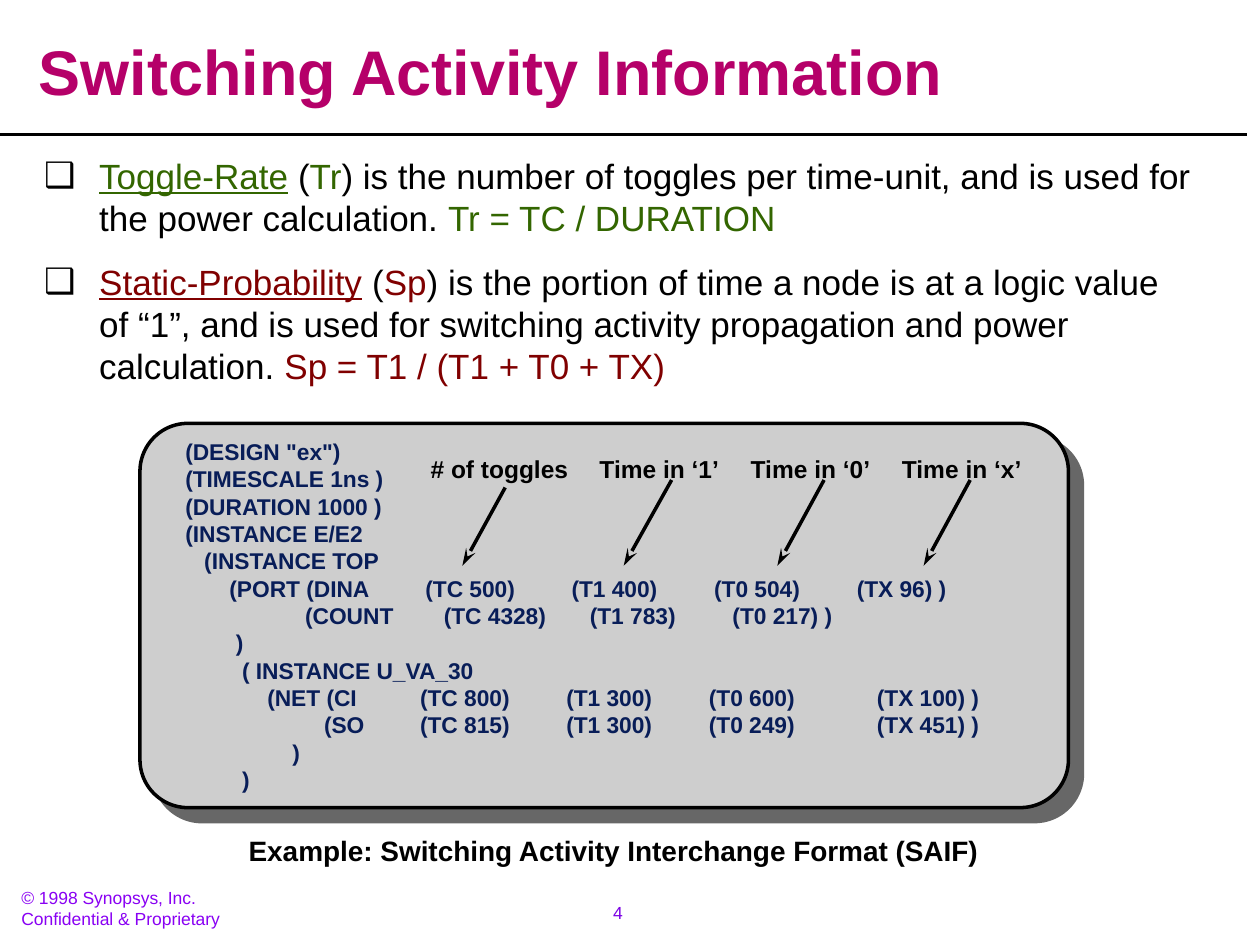
import pptx
import pptx.util
import pptx.dml.color
import pptx.enum.shapes
import pptx.enum.text
import pptx.oxml
import pptx.oxml.ns
from lxml import etree

Pt = pptx.util.Pt
qn = pptx.oxml.ns.qn
NS = 'xmlns:a="http://schemas.openxmlformats.org/drawingml/2006/main"'
ALIGN = pptx.enum.text.PP_ALIGN
ANCHOR = pptx.enum.text.MSO_ANCHOR


def color(hex_string):
    return pptx.dml.color.RGBColor.from_string(hex_string)


def add_run(p, text, hex_string, **font_values):
    r = p.add_run()
    r.text = text
    r.font.name = "Arial"
    r.font.color.rgb = color(hex_string)
    for name, value in font_values.items():
        setattr(r.font, name, value)


prs = pptx.Presentation()
prs.slide_width, prs.slide_height = Pt(720), Pt(540)
s = prs.slides.add_slide(prs.slide_layouts[1])

# Title and body placeholders
title, body = s.placeholders[0], s.placeholders[1]
frames = [
    (title, (15, 11.2, 699, 54.7), ANCHOR.BOTTOM, 3.6),
    (body, (18, 81, 673.2, 146.9), ANCHOR.TOP, 7.2),
]
for sp, (left, top, width, height), anchor, margin in frames:
    sp.left, sp.top, sp.width, sp.height = Pt(left), Pt(top), Pt(width), Pt(height)
    tf = sp.text_frame
    values = {
        "auto_size": pptx.enum.text.MSO_AUTO_SIZE.NONE,
        "word_wrap": True,
        "vertical_anchor": anchor,
        "margin_left": Pt(7.2),
        "margin_right": Pt(7.2),
        "margin_top": Pt(margin),
        "margin_bottom": Pt(margin),
    }
    for name, value in values.items():
        setattr(tf, name, value)

p = title.text_frame.paragraphs[0]
p.alignment = ALIGN.LEFT
p.line_spacing = 0.9
add_run(p, "Switching Activity Information", "B50069", size=Pt(36), bold=True)

# Definitions: term, symbol, explanation, formula
definitions = [
    ("336600", "Toggle-Rate", "Tr",
     ") is the number of toggles per time-unit, and is used for the power calculation. ",
     "Tr = TC / DURATION"),
    ("800000", "Static-Probability", "Sp",
     ") is the portion of time a node is at a logic value of “1”, and is used for "
     "switching activity propagation and power calculation. ",
     "Sp = T1 / (T1 + T0 + TX)"),
]
tf = body.text_frame
for i, (accent, term, symbol, explanation, formula) in enumerate(definitions):
    p = tf.add_paragraph() if i else tf.paragraphs[0]
    pPr = p._p.get_or_add_pPr()
    pPr.set("marL", str(Pt(31.5)))
    pPr.set("indent", str(Pt(-31.5)))
    pPr.append(pptx.oxml.parse_xml(f'<a:buClr {NS}><a:srgbClr val="000000"/></a:buClr>'))
    pPr.append(pptx.oxml.parse_xml(f'<a:buChar {NS} char="❑"/>'))
    p.space_before = Pt(12.5 if i else 0)
    add_run(p, term, accent, size=Pt(20), underline=True)
    for text, hex_string in [(" (", "000000"), (symbol, accent),
                             (explanation, "000000"), (formula, accent)]:
        add_run(p, text, hex_string, size=Pt(20))

# Code panel with offset shadow
panel = s.shapes.add_shape(pptx.enum.shapes.MSO_SHAPE.ROUNDED_RECTANGLE,
                           Pt(80), Pt(241.9), Pt(530.6), Pt(219.6))
panel.adjustments[0] = 0.125
panel.fill.solid()
panel.fill.fore_color.rgb = color("CECECE")
panel.line.color.rgb = color("000000")
panel.line.width = Pt(2)
panel.shadow.inherit = False
effects = panel._element.spPr.find(qn("a:effectLst"))
effects.append(pptx.oxml.parse_xml(
    f'<a:outerShdw {NS} blurRad="0" dist="{Pt(11.3)}" dir="2700000" algn="ctr" '
    'rotWithShape="0"><a:srgbClr val="676767"/></a:outerShdw>'))

# Code lines, with the tab stops of their columns
net_stops = (145, 228.5, 310, 406)
code = [
    ('   (DESIGN "ex")', ()),
    ("   (TIMESCALE 1ns )", ()),
    ("   (DURATION 1000 )", ()),
    ("   (INSTANCE E/E2", ()),
    ("      (INSTANCE TOP", ()),
    ("          (PORT (DINA\t(TC 500)\t(T1 400)\t(T0 504)\t(TX 96) )", (148, 231.5, 313, 394.5)),
    ("                      (COUNT\t(TC 4328)\t(T1 783)\t(T0 217) )", (158.5, 242, 323.5)),
    ("           )", ()),
    ("            ( INSTANCE U_VA_30", ()),
    ("                (NET (CI\t(TC 800)\t(T1 300)\t(T0 600)\t(TX 100) )", net_stops),
    ("                         (SO\t(TC 815)\t(T1 300)\t(T0 249)\t(TX 451) )", net_stops),
    ("\t)", (72,)),
    ("            )", ()),
]
tf = panel.text_frame
tf.word_wrap = False
tf.vertical_anchor = ANCHOR.MIDDLE
for i, (line, stops) in enumerate(code):
    p = tf.add_paragraph() if i else tf.paragraphs[0]
    p.alignment = ALIGN.LEFT
    if stops:
        tabs = etree.SubElement(p._p.get_or_add_pPr(), qn("a:tabLst"))
        for stop in stops:
            etree.SubElement(tabs, qn("a:tab"), pos=str(Pt(stop)), algn="l")
    add_run(p, line, "081D58", size=Pt(13), bold=True)

# Title rule and column arrows, each arrowhead at its start point
lines = [
    (0, 77, 712.8, 77, False),
    (264.2, 323.3, 288.7, 278.6, True),
    (356.4, 323.3, 383.8, 274.3, True),
    (444.2, 323.3, 470.9, 274.3, True),
    (527.8, 323.3, 554.4, 274.3, True),
]
for x1, y1, x2, y2, arrow in lines:
    c = s.shapes.add_connector(pptx.enum.shapes.MSO_CONNECTOR.STRAIGHT,
                               Pt(x1), Pt(y1), Pt(x2), Pt(y2))
    c.line.color.rgb = color("000000")
    c.line.width = Pt(2)
    if arrow:
        etree.SubElement(c.line._get_or_add_ln(), qn("a:headEnd"),
                         type="stealth", w="med", len="lg")
    etree.SubElement(c._element.spPr, qn("a:effectLst"))

# Column labels, caption and footer
label = {"size": Pt(14), "bold": True}
caption = {"size": Pt(16), "bold": True}
footer = {"size": Pt(10)}
wide, narrow = (7.2, 3.6), (5, 2.2)
texts = [
    (239, 256, 93.6, 23.8, wide, ["# of toggles"], "000000", label),
    (335.5, 256, 83.5, 23.8, wide, ["Time in ‘1’"], "000000", label),
    (421.9, 256, 83.5, 23.8, wide, ["Time in ‘0’"], "000000", label),
    (508.3, 256, 83.5, 23.8, wide, ["Time in ‘x’"], "000000", label),
    (135, 472.6, 432, 26.6, wide,
     ["Example: Switching Activity Interchange Format (SAIF)"], "000000", caption),
    (323.3, 511.9, 59.8, 19.4, wide, ["4"], "7B00E4", footer),
    (7.2, 504.7, 130, 28.1, narrow,
     ["© 1998 Synopsys, Inc.", "Confidential & Proprietary"], "8901F3", footer),
]
for left, top, width, height, (side, edge), paragraphs, hex_string, font_values in texts:
    sp = s.shapes.add_textbox(Pt(left), Pt(top), Pt(width), Pt(height))
    tf = sp.text_frame
    tf.word_wrap = False
    tf.margin_left = tf.margin_right = Pt(side)
    tf.margin_top = tf.margin_bottom = Pt(edge)
    for i, text in enumerate(paragraphs):
        p = tf.add_paragraph() if i else tf.paragraphs[0]
        p.alignment = ALIGN.CENTER if text == "4" else ALIGN.LEFT
        add_run(p, text, hex_string, **font_values)

prs.save("out.pptx")
